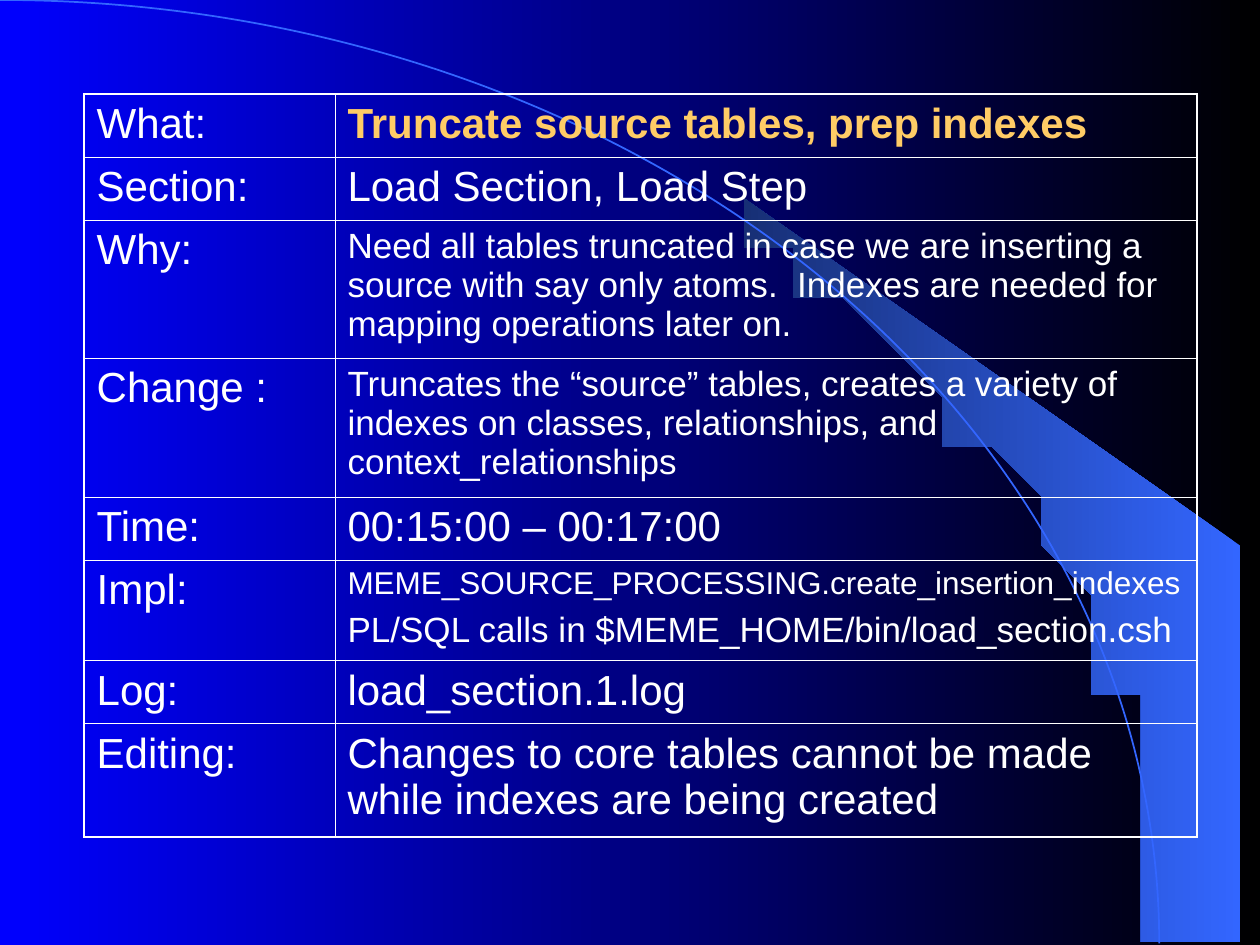
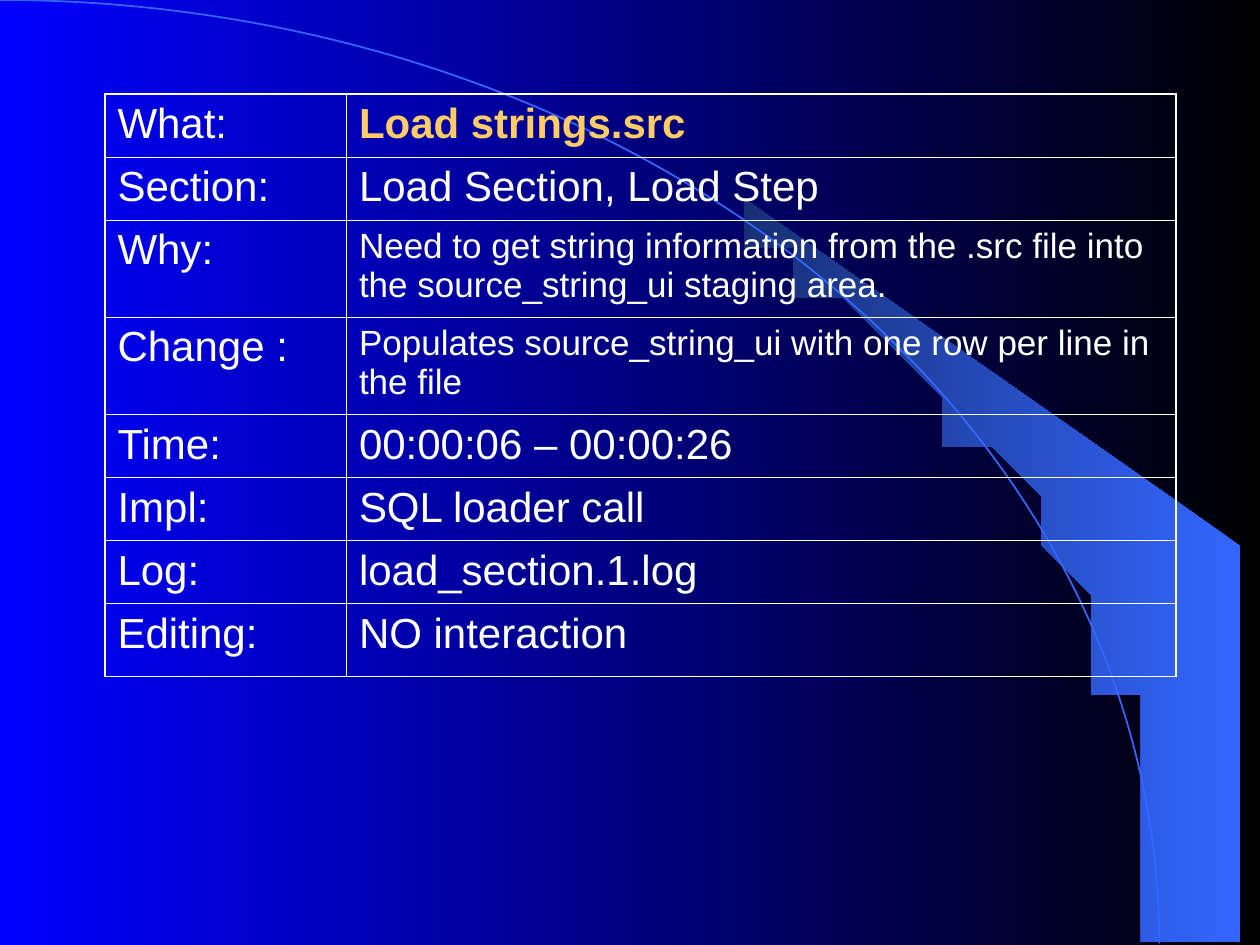
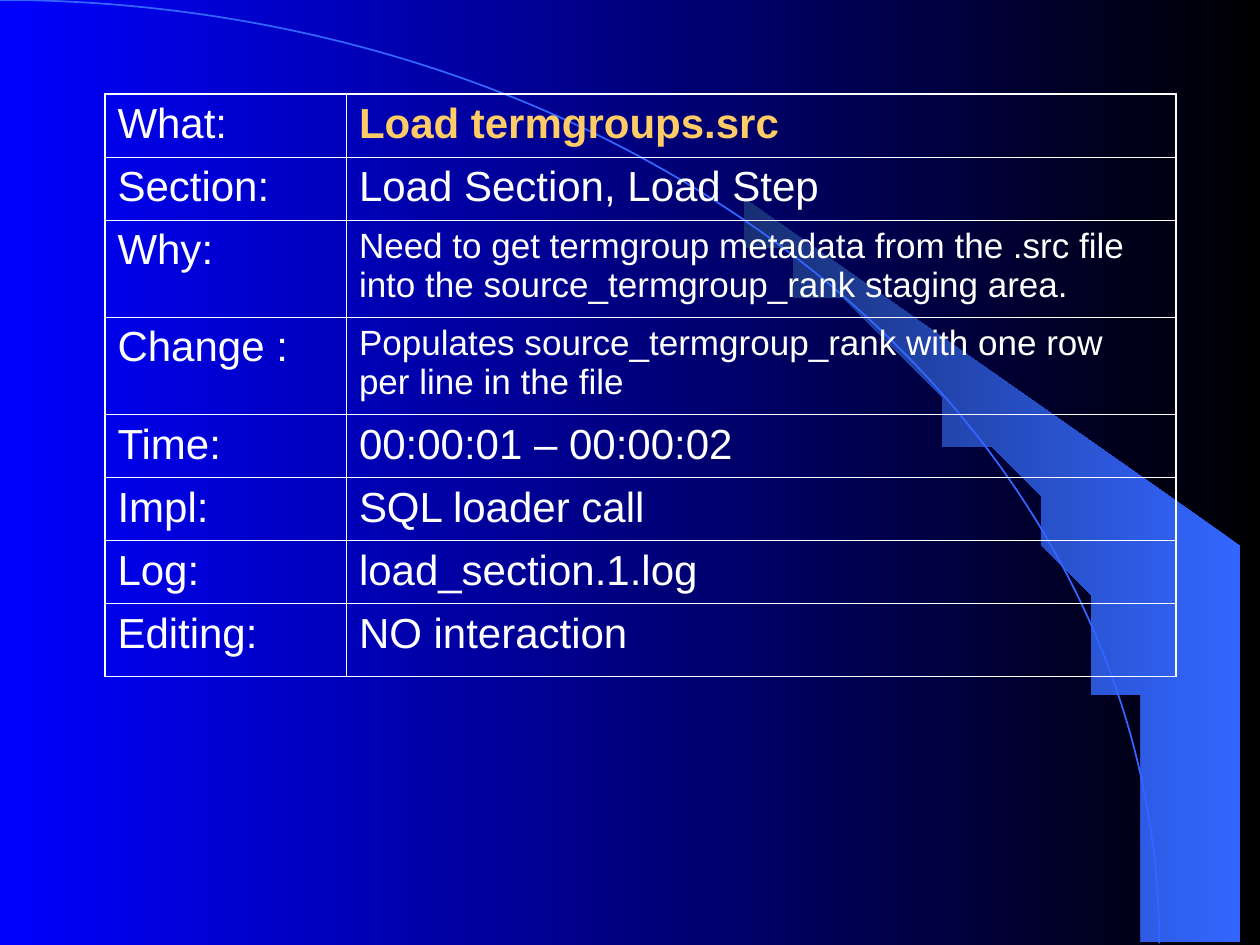
import math

import pptx
import pptx.dml.color
import pptx.enum.shapes
import pptx.oxml
import pptx.oxml.ns
import pptx.util
from pptx.util import Cm, Pt

COLORS = {
    "text": "FFFFFF",
    "title": "FFCC66",
    "border": "FFFFFF",
    "night": "000000",
    "blue": "0000FF",
    "beam": "3366FF",
    "beam_dark": "172F75",
}
FONT = "Arial"
BODY, SMALL, TINY = 24, 20, 18

LABELS = ["What:", "Section:", "Why:", "Change :", "Time:", "Impl:", "Log:", "Editing:"]
SECTION = [("Load Section, Load Step", BODY)]
LOG = [("load_section.1.log", BODY)]
LOADER = [("SQL loader call", BODY)]
NO_EDITING = [("NO interaction", BODY)]

# Each value is a list of (paragraph, size); widths and heights are in centimetres.
STEPS = [
    {
        "width": 22.43,
        "heights": [1.27, 1.27, 2.79, 2.79, 1.27, 2.03, 1.27, 2.29],
        "values": [
            [("Truncate source tables, prep indexes", BODY)],
            SECTION,
            [("Need all tables truncated in case we are inserting a source with say "
              "only atoms.  Indexes are needed for mapping operations later on.", SMALL)],
            [("Truncates the “source” tables, creates a variety of indexes on classes, "
              "relationships, and context_relationships", SMALL)],
            [("00:15:00 – 00:17:00", BODY)],
            [("MEME_SOURCE_PROCESSING.create_insertion_indexes", TINY),
             ("PL/SQL calls in $MEME_HOME/bin/load_section.csh", SMALL)],
            LOG,
            [("Changes to core tables cannot be made while indexes are being created", BODY)],
        ],
    },
]
LOAD_HEIGHTS = [1.27, 1.27, 1.96, 1.96, 1.27, 1.27, 1.27, 1.47]
LOADS = [
    ("Load strings.src",
     "Need to get string information from the .src file into the source_string_ui staging area.",
     "Populates source_string_ui with one row per line in the file",
     "00:00:06 – 00:00:26"),
    ("Load termgroups.src",
     "Need to get termgroup metadata from the .src file into the "
     "source_termgroup_rank staging area.",
     "Populates source_termgroup_rank with one row per line in the file",
     "00:00:01 – 00:00:02"),
]
for what, why, change, time in LOADS:
    STEPS.append({
        "width": 21.59,
        "heights": LOAD_HEIGHTS,
        "values": [[(what, BODY)], SECTION, [(why, SMALL)], [(change, SMALL)],
                   [(time, BODY)], LOADER, LOG, NO_EDITING],
    })

SLIDE_WIDTH, SLIDE_HEIGHT = 25.4, 19.05
TABLE_CENTER, TABLE_TOP, LABEL_SHARE = 12.91, 1.9, 0.2255
ARC_RX, ARC_RY = 23.37, 19.02
BEAM_START, BEAM_RIGHT, BEAM_RIGHT_TOP = 14.96, 25.37, 10.74
BEAM_STEPS = 30
OUTER_LINE, INNER_LINE = Pt(1.08), Pt(0.45)


def rgb(name):
    return pptx.dml.color.RGBColor.from_string(COLORS[name])


def fill_gradient(fill, right, left):
    """Blend from the right edge to the left edge."""
    fill.gradient()
    fill.gradient_angle = 180
    for stop, name in zip(fill.gradient_stops, (right, left)):
        stop.color.rgb = rgb(name)


def draw_beam(slide):
    """Draw the light wedge that follows the arc, then the arc itself."""
    first = math.asin(BEAM_START / ARC_RX)
    angles = [first + (math.pi / 2 - first) * i / BEAM_STEPS for i in range(BEAM_STEPS + 1)]
    inner_edge = [(ARC_RX * math.sin(a), ARC_RY * (1 - math.cos(a))) for a in angles]
    builder = slide.shapes.build_freeform(*inner_edge[0], scale=Cm(1))
    builder.add_line_segments(
        inner_edge[1:] + [(BEAM_RIGHT, ARC_RY), (BEAM_RIGHT, BEAM_RIGHT_TOP)], close=True)
    beam = builder.convert_to_shape()
    beam.shadow.inherit = False
    fill_gradient(beam.fill, "beam", "beam_dark")
    beam.line.fill.background()

    arc = slide.shapes.add_shape(pptx.enum.shapes.MSO_SHAPE.ARC,
                                 Cm(-ARC_RX), 0, Cm(2 * ARC_RX), Cm(2 * ARC_RY))
    arc.shadow.inherit = False
    arc.fill.background()
    arc.line.color.rgb = rgb("beam")
    arc.line.width = Pt(1)


def set_borders(cell, outer):
    """Draw all four borders; sides named in outer get the heavier line."""
    for position, side in enumerate("LRTB"):
        width = OUTER_LINE if side in outer else INNER_LINE
        border = pptx.oxml.parse_xml(
            f'<a:ln{side} {pptx.oxml.ns.nsdecls("a")} w="{int(width)}"><a:solidFill>'
            f'<a:srgbClr val="{COLORS["border"]}"/></a:solidFill></a:ln{side}>')
        cell._tc.get_or_add_tcPr().insert(position, border)


def write_cell(cell, paragraphs, color="text", bold=False):
    cell.text_frame.text = "\n".join(text for text, _ in paragraphs)
    for i, (paragraph, (_, size)) in enumerate(zip(cell.text_frame.paragraphs, paragraphs)):
        if i:
            paragraph.space_before = Pt(size / 4)
        font = paragraph.runs[0].font
        font.name, font.size, font.bold = FONT, Pt(size), bold
        font.color.rgb = rgb(color)


def add_step_table(slide, step):
    width, heights = step["width"], step["heights"]
    table = slide.shapes.add_table(
        len(LABELS), 2, Cm(TABLE_CENTER - width / 2), Cm(TABLE_TOP),
        Cm(width), Cm(sum(heights))).table
    table.first_row = table.horz_banding = False
    table.columns[0].width = Cm(width * LABEL_SHARE)
    table.columns[1].width = Cm(width * (1 - LABEL_SHARE))
    for row, (label, value, height) in enumerate(zip(LABELS, step["values"], heights)):
        table.rows[row].height = Cm(height)
        is_title = row == 0
        write_cell(table.cell(row, 0), [(label, BODY)])
        write_cell(table.cell(row, 1), value, "title" if is_title else "text", is_title)
        ends = ("T" if is_title else "") + ("B" if row == len(LABELS) - 1 else "")
        for column, side in enumerate("LR"):
            cell = table.cell(row, column)
            cell.fill.background()
            set_borders(cell, side + ends)


def main():
    deck = pptx.Presentation()
    deck.slide_width, deck.slide_height = Cm(SLIDE_WIDTH), Cm(SLIDE_HEIGHT)
    fill_gradient(deck.slide_master.background.fill, "night", "blue")
    for step in STEPS:
        slide = deck.slides.add_slide(deck.slide_layouts[6])
        draw_beam(slide)
        add_step_table(slide, step)
    deck.save("out.pptx")


if __name__ == "__main__":
    main()
